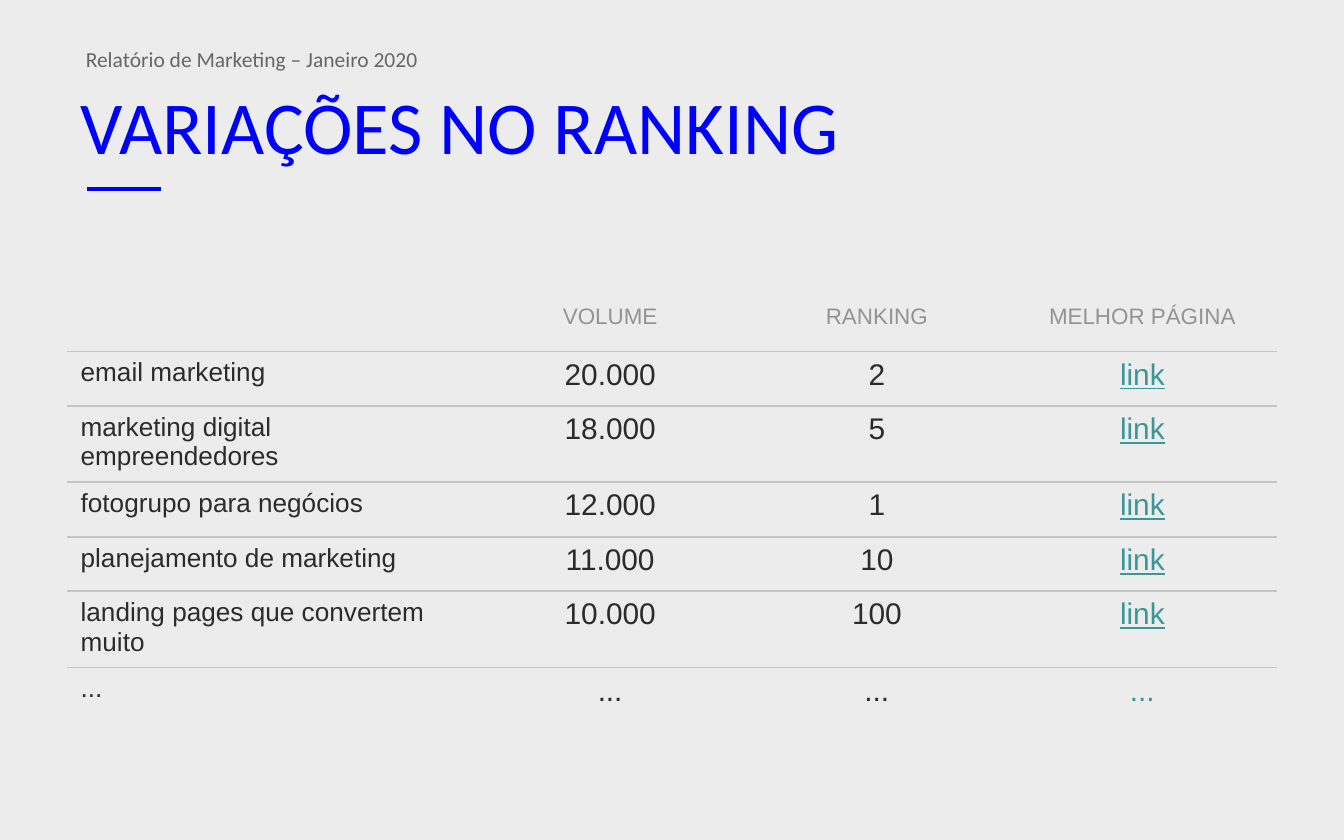
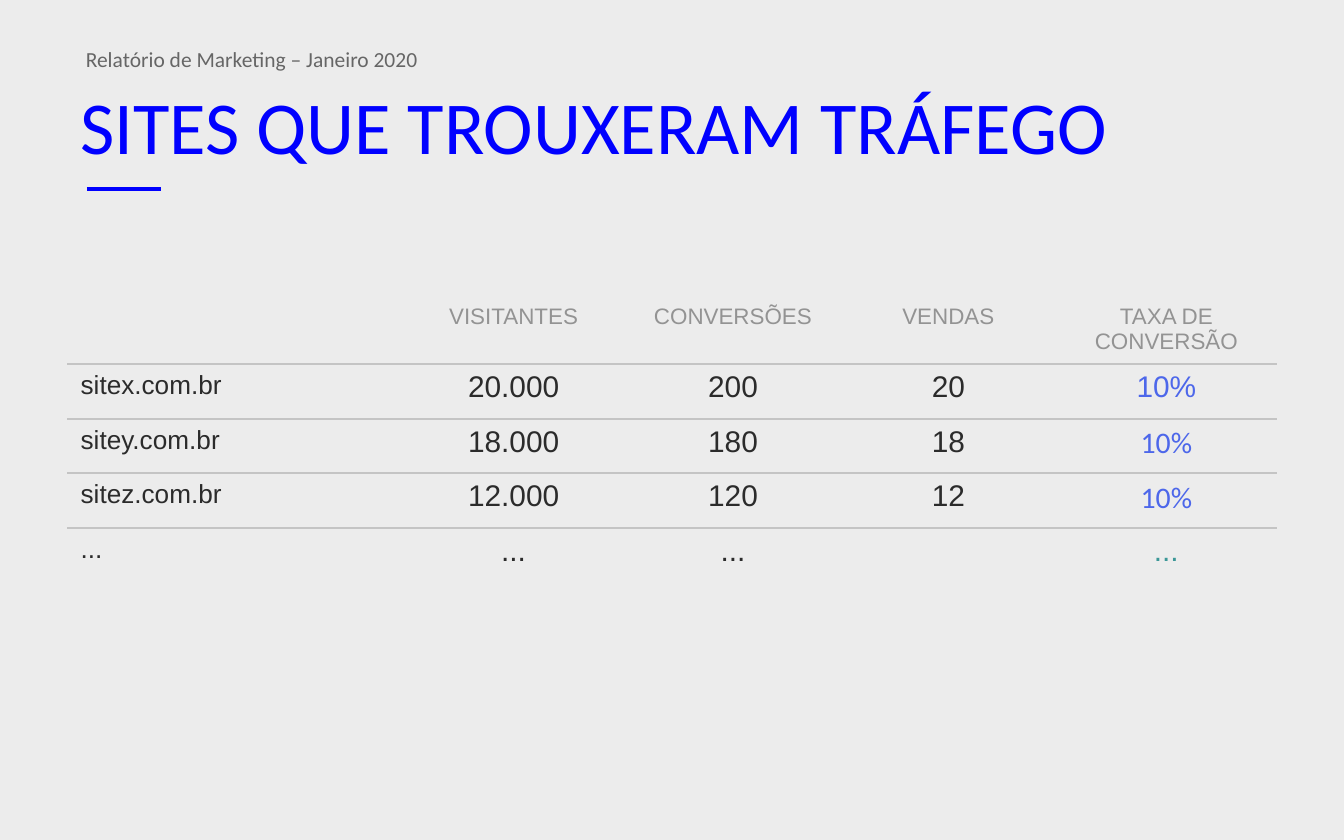
from dataclasses import dataclass

from lxml import etree
from pptx import Presentation
from pptx.dml.color import RGBColor
from pptx.enum.shapes import MSO_CONNECTOR
from pptx.enum.text import MSO_ANCHOR, PP_ALIGN
from pptx.oxml.ns import qn
from pptx.util import Pt

LEFT, CENTER = PP_ALIGN.LEFT, PP_ALIGN.CENTER
TOP, MIDDLE = MSO_ANCHOR.TOP, MSO_ANCHOR.MIDDLE
STRAIGHT = MSO_CONNECTOR.STRAIGHT


@dataclass(frozen=True)
class Theme:
    background: str = "ECECEC"
    title: str = "0000FF"
    caption: str = "666666"
    header: str = "939393"
    body: str = "2B2B2B"
    link: str = "3B9797"
    rate: str = "4D67EA"
    border: str = "C4C4C4"
    heading_font: str = "Calibri"
    table_font: str = "Arial"
    title_size: float = 40
    caption_size: float = 11.5
    header_size: float = 12
    label_size: float = 14
    value_size: float = 16


theme = Theme()


def write_text(frame, text, *, size, color, font, align=LEFT, anchor=TOP,
               underline=None, spacing=None):
    frame.word_wrap = True
    frame.vertical_anchor = anchor
    paragraph = frame.paragraphs[0]
    paragraph.alignment = align
    paragraph.line_spacing = spacing
    run = paragraph.add_run()
    run.text = text
    run.font.size = Pt(size)
    run.font.name = font
    run.font.underline = underline
    run.font.color.rgb = RGBColor.from_string(color)


def set_borders(cell, visible_sides):
    """Draw a rule on the visible sides and clear the others."""
    cell.fill.background()
    properties = cell._tc.get_or_add_tcPr()
    for position, side in enumerate("LRTB"):
        border = etree.Element(qn(f"a:ln{side}"), w=str(Pt(1)))
        if side in visible_sides:
            fill = etree.SubElement(border, qn("a:solidFill"))
            etree.SubElement(fill, qn("a:srgbClr"), val=theme.border)
        else:
            etree.SubElement(border, qn("a:noFill"))
        properties.insert(position, border)


# Content: title, column widths, rows, format of the last column
link_format = {"color": theme.link, "underline": True}
rate_format = {"color": theme.rate}
pages = [
    ("VARIAÇÕES NO RANKING", [218.2, 145.4, 140.4, 144], [
        ["", "VOLUME", "RANKING", "MELHOR PÁGINA"],
        ["email marketing", "20.000", "2", "link"],
        ["marketing digital empreendedores", "18.000", "5", "link"],
        ["fotogrupo para negócios", "12.000", "1", "link"],
        ["planejamento de marketing", "11.000", "10", "link"],
        ["landing pages que convertem muito", "10.000", "100", "link"],
        ["...", "...", "...", "..."],
    ], [link_format] * 5),
    ("SITES QUE TROUXERAM TRÁFEGO", [179.4, 119.6, 115.4, 115.4, 118.2], [
        ["", "VISITANTES", "CONVERSÕES", "VENDAS", "TAXA DE CONVERSÃO"],
        ["sitex.com.br", "20.000", "200", "20", "10%"],
        ["sitey.com.br", "18.000", "180", "18", "10%"],
        ["sitez.com.br", "12.000", "120", "12", "10%"],
        ["...", "...", "...", "", "..."],
    ], [rate_format] + [rate_format | {"font": theme.heading_font}] * 2),
]
row_height = 29.2

presentation = Presentation()
presentation.slide_width, presentation.slide_height = Pt(720), Pt(450)
background = presentation.slide_master.background.fill
background.solid()
background.fore_color.rgb = RGBColor.from_string(theme.background)

for title, widths, rows, last_formats in pages:
    slide = presentation.slides.add_slide(presentation.slide_layouts[6])

    # Accent rule under the title
    rule = slide.shapes.add_connector(STRAIGHT, Pt(46.6), Pt(101.3), Pt(86.4), Pt(101.3))
    rule.line.color.rgb = RGBColor.from_string(theme.title)
    rule.line.width = Pt(2)
    etree.SubElement(rule._element.spPr, qn("a:effectLst"))

    # Title and report caption
    title_box = slide.shapes.add_textbox(Pt(36), Pt(41.8), Pt(648), Pt(50.4))
    write_text(title_box.text_frame, title, size=theme.title_size,
               color=theme.title, font=theme.heading_font, anchor=MIDDLE)
    caption_box = slide.shapes.add_textbox(Pt(38.9), Pt(23.8), Pt(648), Pt(19.4))
    write_text(caption_box.text_frame, "Relatório de Marketing – Janeiro 2020",
               size=theme.caption_size, color=theme.caption,
               font=theme.heading_font, spacing=0.8)

    # Table
    table = slide.shapes.add_table(
        len(rows), len(widths), Pt(36), Pt(159.1),
        Pt(sum(widths)), Pt(row_height * len(rows))).table
    table.first_row = table.horz_banding = False
    for column, width in zip(table.columns, widths):
        column.width = Pt(width)
    last_row, last_column = len(rows) - 1, len(widths) - 1
    row_formats = [{}, *last_formats, {"color": theme.link}]
    for row_index, row in enumerate(rows):
        table.rows[row_index].height = Pt(row_height)
        for column_index, text in enumerate(row):
            cell = table.cell(row_index, column_index)
            set_borders(cell, ("T" if row_index > 0 else "")
                        + ("B" if row_index < last_row else ""))
            if not text:
                continue
            text_format = {"size": theme.value_size, "color": theme.body,
                           "font": theme.table_font, "align": CENTER}
            if row_index == 0:
                text_format |= {"size": theme.header_size, "color": theme.header}
            elif column_index == 0:
                text_format |= {"size": theme.label_size, "align": LEFT}
            elif column_index == last_column:
                text_format |= row_formats[row_index]
            write_text(cell.text_frame, text, **text_format)

presentation.save("out.pptx")
